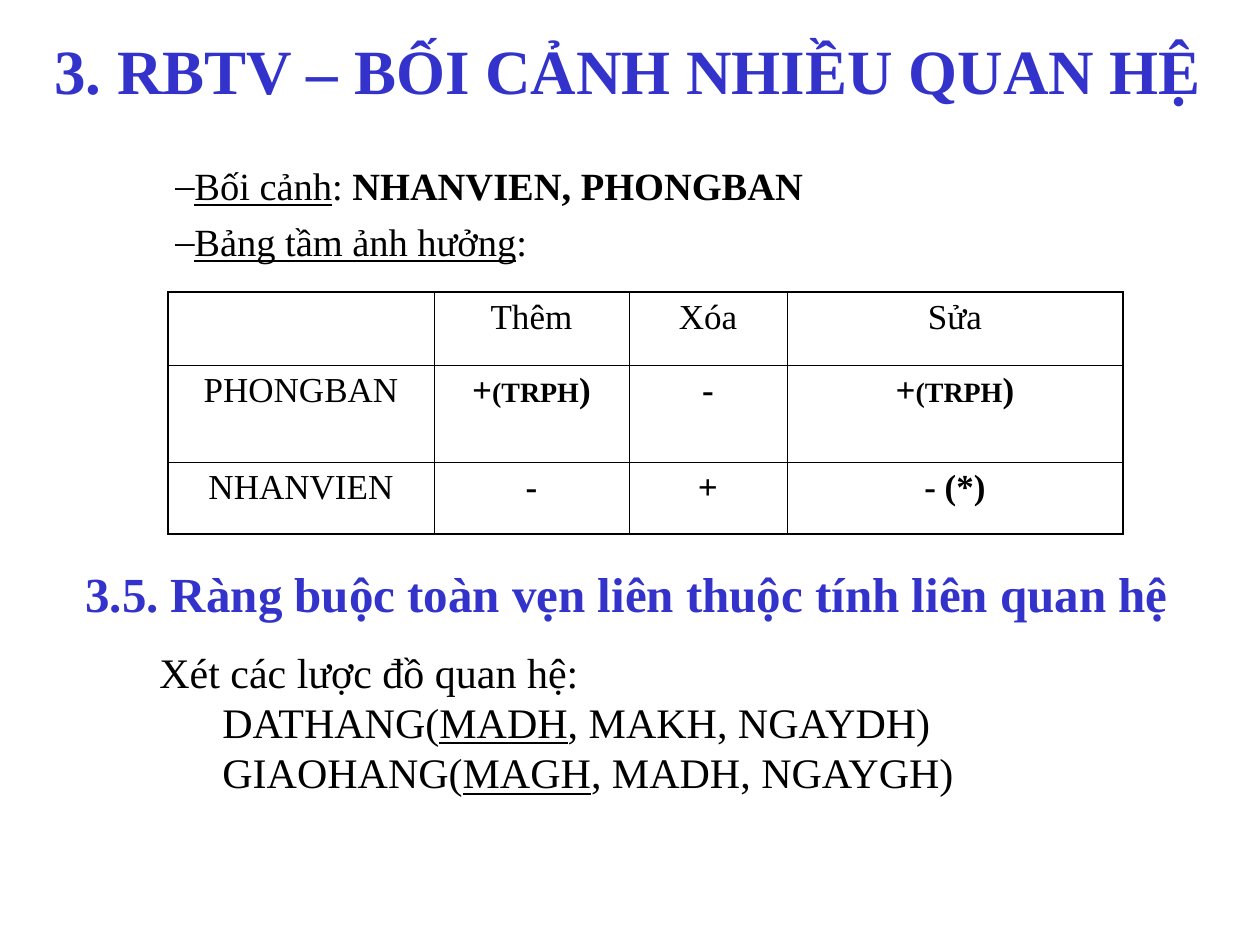
from lxml.etree import SubElement as Sub
from pptx import Presentation
from pptx.dml.color import RGBColor
from pptx.enum.text import MSO_ANCHOR as Anchor, PP_ALIGN as Align
from pptx.oxml.ns import qn
from pptx.util import Pt

PX = 914400 / 126
FACE = "Times New Roman"
BLACK = RGBColor(0x00, 0x00, 0x00)
BLUE = RGBColor(0x33, 0x33, 0xCC)
THIN, THICK = 0.45, 1.08
BOLD, LINE = {"bold": True}, {"underline": True}

COLS = [266, 195, 158, 336]
ROWS = [73, 97, 72]
TRPH = [("+", BOLD), ("(TRPH", {"bold": True, "size": Pt(16)}), (")", BOLD)]
GRID = [
    [[], [("Thêm", {})], [("Xóa", {})], [("Sửa", {})]],
    [[("PHONGBAN", {})], TRPH, [("-", BOLD)], TRPH],
    [[("NHANVIEN", {})], [("-", BOLD)], [("+", BOLD)], [("- (*)", BOLD)]],
]


def emu(px):
    return round(px * PX)


def write(para, runs, size, color=BLACK):
    """Add runs of (text, font values) to a paragraph."""
    for text, style in runs:
        run = para.add_run()
        run.text = text
        base = {"name": FACE, "size": Pt(size), "bold": False}
        for key, value in (base | style).items():
            setattr(run.font, key, value)
        run.font.color.rgb = color


def add_text(slide, box, paras, size, color=BLACK, anchor=Anchor.TOP):
    frame = slide.shapes.add_textbox(*map(emu, box)).text_frame
    frame.word_wrap = True
    frame.vertical_anchor = anchor
    for i, runs in enumerate(paras):
        para = frame.paragraphs[0] if i == 0 else frame.add_paragraph()
        write(para, runs, size, color)
    return frame.paragraphs


def indent(para, left, first=0):
    props = para._p.get_or_add_pPr()
    props.set("marL", str(emu(left)))
    props.set("indent", str(emu(first)))
    return props


def add_dash(para):
    """Give a paragraph a dash as its bullet."""
    para.space_before = Pt(5.5)
    props = indent(para, 64, 15)
    tint = Sub(Sub(props, qn("a:buClr")), qn("a:srgbClr"))
    tint.set("val", str(BLACK))
    Sub(props, qn("a:buFont")).set("typeface", FACE)
    Sub(props, qn("a:buChar")).set("char", "–")


def add_edges(cell, outer):
    """Draw the four sides, thick where the side is on the table's rim."""
    props = cell._tc.get_or_add_tcPr()
    for side, rim in outer.items():
        edge = Sub(props, qn("a:ln" + side))
        edge.set("w", str(Pt(THICK if rim else THIN)))
        fill = Sub(edge, qn("a:solidFill"))
        Sub(fill, qn("a:srgbClr")).set("val", str(BLACK))


def add_grid(slide, left, top):
    size = map(emu, (left, top, sum(COLS), sum(ROWS)))
    table = slide.shapes.add_table(len(ROWS), len(COLS), *size).table
    table.first_row = table.horz_banding = False
    for col, width in zip(table.columns, COLS):
        col.width = emu(width)
    for row, height in zip(table.rows, ROWS):
        row.height = emu(height)
    for r, line in enumerate(GRID):
        for c, runs in enumerate(line):
            cell = table.cell(r, c)
            add_edges(cell, {"L": c == 0, "R": c == len(COLS) - 1,
                             "T": r == 0, "B": r == len(ROWS) - 1})
            cell.fill.background()
            para = cell.text_frame.paragraphs[0]
            para.alignment = Align.CENTER
            if r and c == 0:
                para.space_before = Pt(5)
            write(para, runs, 20)


def main():
    deck = Presentation()
    deck.slide_width, deck.slide_height = emu(1260), emu(945)
    slide = deck.slides.add_slide(deck.slide_layouts[6])

    add_text(slide, (42, -10, 1197, 158),
             [[("3. RBTV – BỐI CẢNH NHIỀU QUAN HỆ", BOLD)]],
             36, BLUE, Anchor.MIDDLE)
    scope = add_text(slide, (84, 156, 1071, 117), [
        [("Bối cảnh", LINE), (": ", {}), ("NHANVIEN, PHONGBAN", BOLD)],
        [("Bảng tầm ảnh hưởng", LINE), (":", {})],
    ], 22)
    for para in scope:
        add_dash(para)
    add_grid(slide, 168, 292)
    add_text(slide, (73, 557, 1187, 72), [
        [("3.5. Ràng buộc toàn vẹn liên thuộc tính liên quan hệ", BOLD)],
    ], 28, BLUE)
    schema = add_text(slide, (147, 640, 914, 164), [
        [("Xét các lược đồ quan hệ:", {})],
        [("DATHANG(", {}), ("MADH", LINE), (", MAKH, NGAYDH)", {})],
        [("GIAOHANG(", {}), ("MAGH", LINE), (", MADH, NGAYGH)", {})],
    ], 24)
    for para in schema[1:]:
        indent(para, 63)
    deck.save("out.pptx")


if __name__ == "__main__":
    main()
